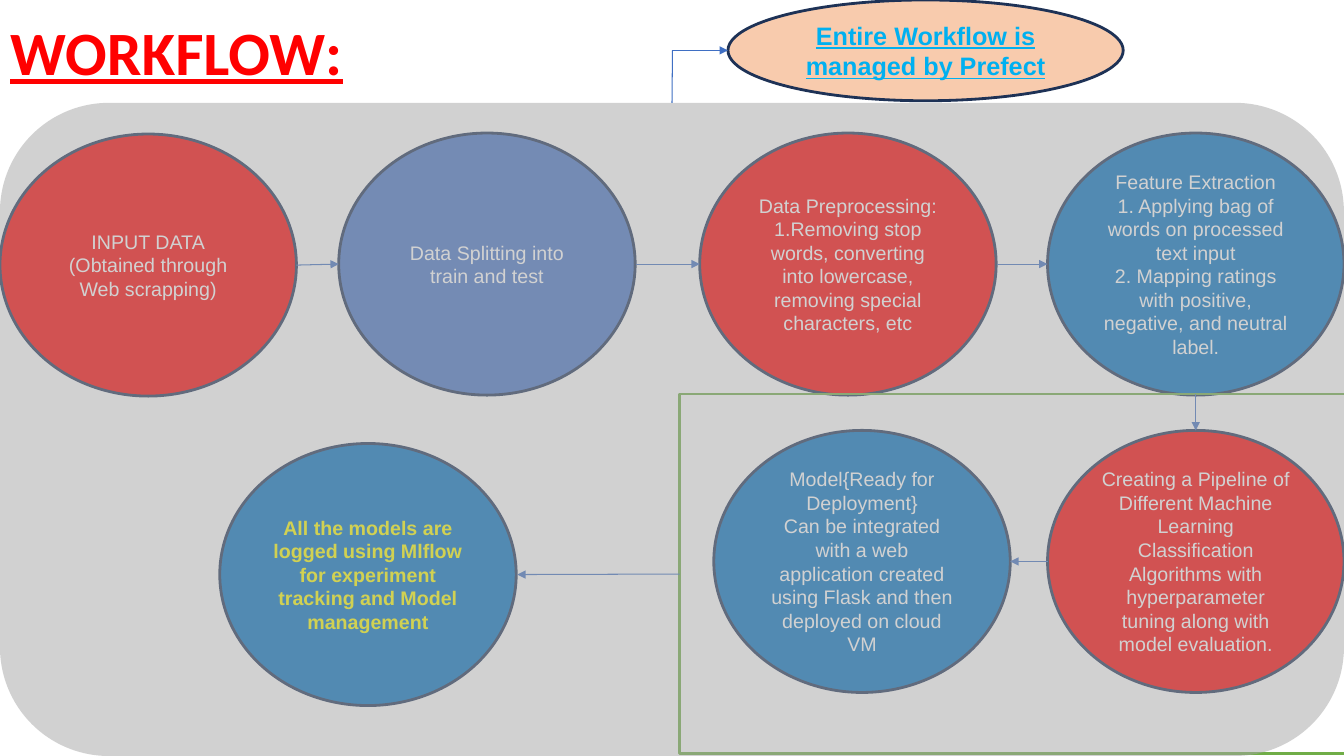
import pptx
import pptx.util
import pptx.dml.color
import pptx.enum.shapes
import pptx.enum.text
import pptx.oxml
import pptx.oxml.ns
from pptx.util import Inches

SHAPE = pptx.enum.shapes.MSO_SHAPE
RED, BLUE, INDIGO = "FF0000", "0070C0", "4472C4"
WHITE, YELLOW, NAVY = "FFFFFF", "FFFF00", "1E3256"


def color(value):
    return pptx.dml.color.RGBColor.from_string(value)


def add_box(kind, left, top, width, height, fill, line, lines=(), size=14, ink=WHITE, strong=False):
    box = page.shapes.add_shape(kind, Inches(left), Inches(top), Inches(width), Inches(height))
    box.shadow.inherit = False
    if fill:
        box.fill.solid()
        box.fill.fore_color.rgb = color(fill)
    else:
        box.fill.background()
    if line:
        box.line.color.rgb = color(line)
        box.line.width = pptx.util.Pt(2)
    else:
        box.line.fill.background()
    frame = box.text_frame
    frame.word_wrap = True
    frame.vertical_anchor = pptx.enum.text.MSO_ANCHOR.MIDDLE
    for index, line_text in enumerate(lines):
        para = frame.add_paragraph() if index else frame.paragraphs[0]
        para.text = line_text
        para.alignment = pptx.enum.text.PP_ALIGN.CENTER
        para.font.name = "Arial"
        para.font.size = pptx.util.Pt(size)
        para.font.bold = strong
        para.font.color.rgb = color(ink)
    return box


deck = pptx.Presentation()
deck.slide_width, deck.slide_height = Inches(13.33), Inches(7.5)
page = deck.slides.add_slide(deck.slide_layouts[5])

title = page.shapes.title
title.left, title.top, title.width, title.height = Inches(0), Inches(0.01), Inches(4.69), Inches(1.08)
title.text_frame.text = "WORKFLOW:"
title.text_frame.auto_size = pptx.enum.text.MSO_AUTO_SIZE.NONE
title.text_frame.vertical_anchor = pptx.enum.text.MSO_ANCHOR.MIDDLE
para = title.text_frame.paragraphs[0]
para.alignment = pptx.enum.text.PP_ALIGN.LEFT
para.line_spacing = 0.9
para.font.name = "Calibri"
para.font.size = pptx.util.Pt(44)
para.font.bold = True
para.font.underline = True
para.font.color.rgb = color(RED)

steps = [
    (0, 1.33, RED, WHITE, ["INPUT DATA", "(Obtained through Web scrapping)"]),
    (3.36, 1.32, INDIGO, WHITE, ["Data Splitting into train and test"]),
    (6.94, 1.32, RED, WHITE, [
        "Data Preprocessing:",
        "1.Removing stop words, converting into lowercase, removing special characters, etc"]),
    (10.39, 1.32, BLUE, WHITE, [
        "Feature Extraction",
        "1. Applying bag of words on processed text input",
        "2. Mapping ratings with positive, negative, and neutral label."]),
    (10.39, 4.27, RED, WHITE, [
        "Creating a Pipeline of Different Machine Learning Classification Algorithms "
        "with hyperparameter tuning along with model evaluation."]),
    (7.08, 4.27, BLUE, WHITE, [
        "Model{Ready for Deployment}",
        "Can be integrated with a web application created using Flask and then deployed on cloud VM"]),
    (2.18, 4.4, BLUE, YELLOW, [
        "All the models are logged using Mlflow for experiment tracking and Model management"]),
]
for left, top, fill, ink, lines in steps:
    add_box(SHAPE.OVAL, left, top, 2.94, 2.6, fill, NAVY, lines, ink=ink, strong=ink == YELLOW)

model_frame = add_box(SHAPE.RECTANGLE, 6.74, 3.91, 6.6, 3.57, None, "70AD47")

flow_arrows = [
    (2.94, 2.63, 3.36, 2.62, None, 0, True),
    (6.31, 2.62, 6.94, 2.62, None, 0, True),
    (9.89, 2.62, 10.39, 2.62, None, 0, True),
    (11.86, 3.91, 11.86, 4.27, None, 0, True),
    (10.39, 5.57, 10.02, 5.57, None, 0, True),
    (6.74, 5.7, 5.13, 5.7, model_frame, 1, True),
]
panel = add_box(SHAPE.ROUNDED_RECTANGLE, 0, 1.02, 13.33, 6.48, "A5A5A5", None)
panel_color = panel.fill._xPr.find(".//" + pptx.oxml.ns.qn("a:srgbClr"))
pptx.oxml.ns.qn("a:alpha")
alpha = panel_color.makeelement(pptx.oxml.ns.qn("a:alpha"), {"val": "50000"})
panel_color.append(alpha)

add_box(SHAPE.OVAL, 7.22, 0, 3.92, 1, "F8CBAD", NAVY,
        ["Entire Workflow is managed by Prefect"], size=18, ink="00B0F0", strong=True
        ).text_frame.paragraphs[0].font.underline = True

note_links = [
    (6.67, 1.02, 6.67, 0.5, panel, 0, False),
    (6.67, 0.5, 7.22, 0.5, None, 0, True),
]
for x1, y1, x2, y2, source, site, arrow in flow_arrows + note_links:
    link = page.shapes.add_connector(
        pptx.enum.shapes.MSO_CONNECTOR.STRAIGHT, Inches(x1), Inches(y1), Inches(x2), Inches(y2))
    if source is not None:
        link.begin_connect(source, site)
    link.line.color.rgb = color("3F6FC3")
    link.line.width = pptx.util.Pt(0.75)
    if arrow:
        outline = link.line._get_or_add_ln()
        outline.append(outline.makeelement(pptx.oxml.ns.qn("a:tailEnd"), {"type": "triangle"}))
    properties = link._element.spPr
    properties.append(properties.makeelement(pptx.oxml.ns.qn("a:effectLst"), {}))
    if y1 > 1.02:
        panel._element.addprevious(link._element)

deck.save("out.pptx")
